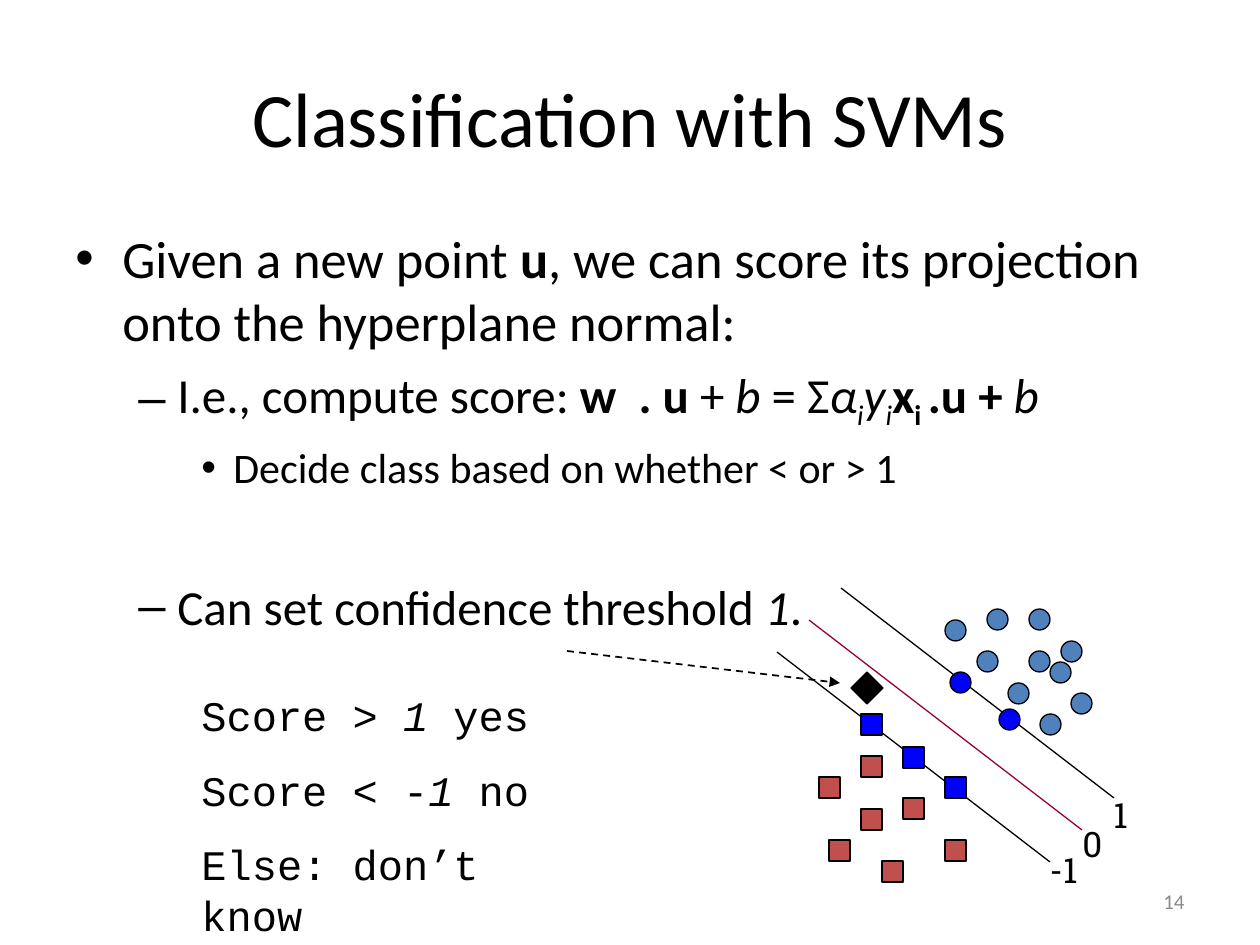
from lxml.etree import SubElement
from pptx import Presentation
from pptx.dml.color import RGBColor
from pptx.enum.dml import MSO_LINE
from pptx.enum.shapes import MSO_CONNECTOR, MSO_SHAPE
from pptx.enum.text import MSO_ANCHOR, PP_ALIGN
from pptx.oxml.ns import qn
from pptx.util import Pt

SCALE = 914400 / 126  # EMU per px
COLORS = {"black": "000000", "gray": "898989", "blue": "4F81BD",
          "red": "C0504D", "support": "0000FF", "plane": "990033"}
DOT = 21


def px(n):
    return round(n * SCALE)


def rgb(name):
    return RGBColor.from_string(COLORS[name])


def add_text(p, text, font="Calibri", size=24, color="black",
             bold=False, italic=False, base=0):
    r = p.add_run()
    r.text = text
    f = r.font
    f.name, f.size, f.bold, f.italic = font, Pt(size), bold, italic
    f.color.rgb = rgb(color)
    if base:
        f._element.set("baseline", str(base * 1000))


class Slide:
    def __init__(self, prs):
        self.s = prs.slides.add_slide(prs.slide_layouts[6])

    def text(self, box, paragraphs, align=PP_ALIGN.LEFT, anchor=MSO_ANCHOR.TOP,
             wrap=True, **style):
        """Each paragraph is (runs, layout); each run is (text, format)."""
        tf = self.s.shapes.add_textbox(*map(px, box)).text_frame
        tf.word_wrap, tf.vertical_anchor = wrap, anchor
        for i, (runs, layout) in enumerate(paragraphs):
            p = tf.add_paragraph() if i else tf.paragraphs[0]
            p.alignment = align
            self.layout(p, **layout)
            for text, fmt in runs:
                add_text(p, text, **{**style, **fmt})

    def layout(self, p, before=0, bullet=None, left=0, hang=0, level=0):
        p.space_before, p.level = Pt(before), level
        if bullet:
            pPr = p._p.get_or_add_pPr()
            pPr.set("marL", str(px(left)))
            pPr.set("indent", str(-px(hang)))
            SubElement(pPr, qn("a:buFont"), typeface="Arial")
            SubElement(pPr, qn("a:buChar"), char=bullet)

    def mark(self, kind, x, y, fill, size=DOT):
        sp = self.s.shapes.add_shape(kind, px(x), px(y), px(size), px(size))
        sp.shadow.inherit = False
        sp.fill.solid()
        sp.fill.fore_color.rgb = rgb(fill)
        sp.line.color.rgb = rgb("black")
        sp.line.width = Pt(0.75)

    def line(self, x1, y1, x2, y2, color="black", width=0.75, arrow=False):
        c = self.s.shapes.add_connector(MSO_CONNECTOR.STRAIGHT,
                                        *map(px, (x1, y1, x2, y2)))
        c.line.color.rgb = rgb(color)
        c.line.width = Pt(width)
        if arrow:
            c.line.dash_style = MSO_LINE.DASH
            SubElement(c.line._get_or_add_ln(), qn("a:tailEnd"), type="triangle")
        SubElement(c._element.spPr, qn("a:effectLst"))


def main():
    prs = Presentation()
    prs.slide_width, prs.slide_height = px(1260), px(945)
    s = Slide(prs)
    bold, italic = {"bold": True}, {"italic": True}
    sub = {"base": -25}

    # Page number and title
    s.text((903, 876, 294, 50), [([("14", {})], {})], PP_ALIGN.RIGHT,
           MSO_ANCHOR.MIDDLE, size=12, color="gray")
    s.text((63, 38, 1134, 158), [([("Classification with SVMs", {})], {})],
           PP_ALIGN.CENTER, MSO_ANCHOR.MIDDLE, size=44)

    # Bulleted body
    first = {"bullet": "•", "left": 47, "hang": 47}
    second = {"bullet": "–", "left": 102, "hang": 39, "level": 1}
    third = {"bullet": "•", "left": 158, "hang": 32, "level": 2, "before": 6}
    big = {"size": 30}
    s.text((63, 220, 1134, 624), [
        ([("Given a new point ", big), ("u", big | bold),
          (", we can score its projection onto the hyperplane normal:", big)], first),
        ([("I.e., compute score: ", {}), ("w  . u", bold), (" + ", {}),
          ("b ", italic), ("= Σ", {}), ("α", italic), ("i", italic | sub),
          ("y", italic), ("i", italic | sub), ("x", bold), ("i ", bold | sub),
          (".u + ", bold), ("b", italic)], second | {"before": 7}),
        ([("Decide class based on whether < or > 1", {"size": 24})], third),
        ([("Can set confidence threshold ", {}), ("1", italic), (".", {})],
         second | {"before": 48}),
    ], size=28)

    # Two classes of points
    for x, y in [(987, 609), (1029, 651), (1008, 683), (1071, 693), (1040, 714),
                 (1029, 609), (945, 620), (1050, 662), (1061, 641), (977, 651)]:
        s.mark(MSO_SHAPE.OVAL, x, y, "blue")
    for x, y in [(861, 756), (882, 861), (903, 798), (945, 840),
                 (819, 777), (861, 809), (829, 840)]:
        s.mark(MSO_SHAPE.RECTANGLE, x, y, "red")

    # Hyperplane between its two margins
    for shift, color in [(0, "plane"), (32, "black"), (-32, "black")]:
        s.line(809 + shift, 620 - shift, 1082 + shift, 830 - shift, color)

    # Support vectors and the new point
    for x, y in [(950, 672), (999, 709)]:
        s.mark(MSO_SHAPE.OVAL, x, y, "support")
    for x, y in [(903, 747), (945, 777), (861, 714)]:
        s.mark(MSO_SHAPE.RECTANGLE, x, y, "support")
    s.mark(MSO_SHAPE.DIAMOND, 851, 672, "black", 32)

    # Line labels
    for label, x, y, w in [("-1", 1037, 842, 57), ("0", 1070, 816, 44),
                           ("1", 1101, 787, 44)]:
        s.text((x, y, w, 54), [([(label, {})], {})], wrap=False,
               font="Roboto Slab", size=20)

    # Arrow from the decision rule to the new point
    s.line(567, 651, 840, 683, width=1, arrow=True)
    gap = {"before": 14}
    s.text((189, 683, 399, 217), [
        ([("Score > ", {}), ("1", italic), (" yes", {})], gap),
        ([("Score < -", {}), ("1", italic), (" no", {})], gap),
        ([("Else: don’t know", {})], gap),
    ], font="Courier New")

    prs.save("out.pptx")


if __name__ == "__main__":
    main()
